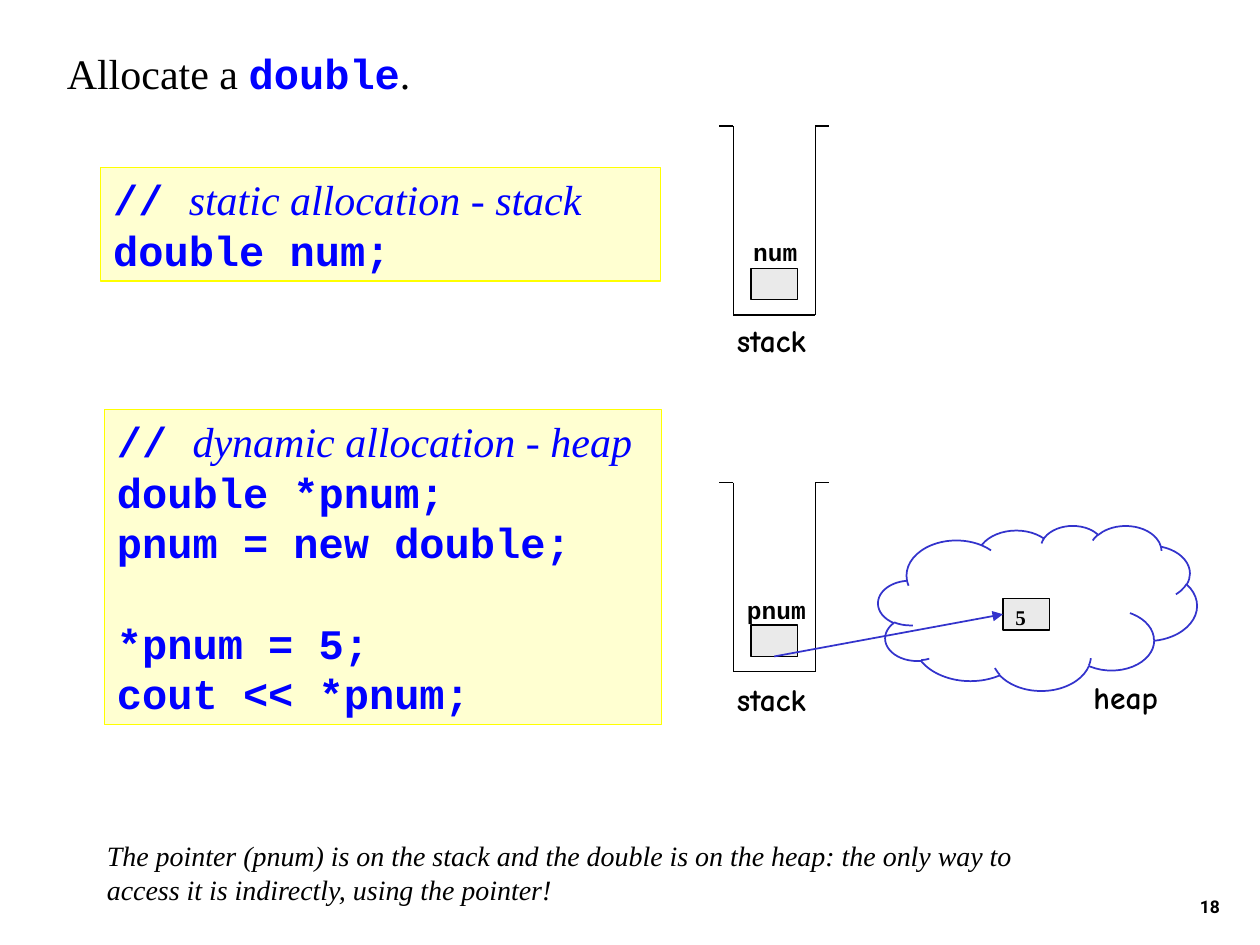
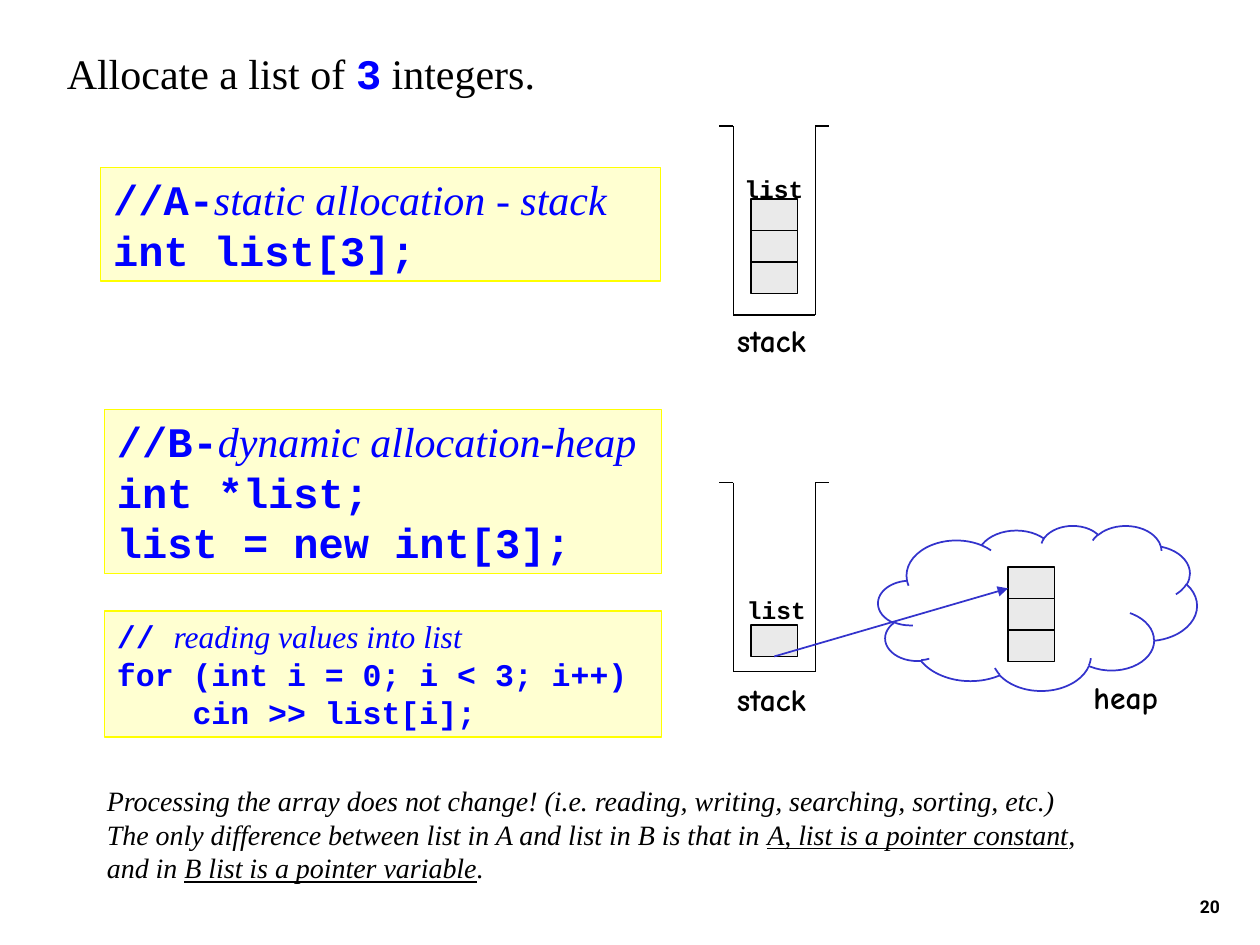
"""Build two slides that compare stack and heap allocation."""
from itertools import pairwise

from lxml.etree import SubElement
from pptx import Presentation
from pptx.dml.color import RGBColor
from pptx.enum.shapes import MSO_CONNECTOR, MSO_SHAPE
from pptx.enum.text import MSO_ANCHOR, MSO_AUTO_SIZE, PP_ALIGN
from pptx.oxml.ns import qn
from pptx.util import Inches, Pt

COLORS = {
    "ink": "000000",
    "code": "0000FF",
    "panel": "FFFFD1",
    "panel_edge": "FFFF00",
    "cell": "EAEAEA",
    "heap": "3333CC",
}
STYLES = {
    "plain": ("Times New Roman", "ink", False, False, False),
    "value": ("Times New Roman", "ink", True, False, False),
    "note": ("Times New Roman", "ink", False, True, False),
    "stress": ("Times New Roman", "ink", False, True, True),
    "code": ("Courier New", "code", True, False, False),
    "comment": ("Times New Roman", "code", False, True, False),
    "variable": ("Courier New", "ink", True, False, False),
    "region": ("Comic Neue", "ink", True, False, False),
    "number": ("Roboto", "ink", True, False, False),
}
CELL_W, CELL_H = 0.37, 0.25
STACK_X, STACK_CELL_X = 5.82, 5.96
POINTER_Y = 4.96

LESSONS = [
    {
        "number": "18",
        "title": [("Allocate a ", "plain"), ("double", "code"), (".", "plain")],
        "panels": [
            {"at": (0.8, 1.33, 4.44, 0.9), "size": 24, "lines": [
                [("// ", "code"), ("static allocation - stack", "comment")],
                [("double num;", "code")]]},
            {"at": (0.83, 3.25, 4.42, 2.5), "size": 24, "gaps": {3: 28.8}, "lines": [
                [("// ", "code"), ("dynamic allocation - heap", "comment")],
                [("double *pnum;", "code")],
                [("pnum = new double;", "code")],
                [("*pnum = 5;", "code")],
                [("cout << *pnum;", "code")]]},
        ],
        "variables": [("num", 5.88, 1.83), ("pnum", 5.83, 4.67)],
        "static_cells": (2.13, 1),
        "heap_cells": (7.96, 4.75, 1),
        "heap_value": "5",
        "target": (7.96, 4.87),
        "note_at": (0.75, 6.61, 8.17, 0.64),
        "note": [
            [("The pointer (pnum) is on the stack and the double is on the heap: the only way to", "note")],
            [("access it is indirectly, using the pointer!", "note")]],
    },
    {
        "number": "20",
        "title": [("Allocate a list of ", "plain"), ("3", "code"), (" integers.", "plain")],
        "panels": [
            {"at": (0.8, 1.33, 4.44, 0.9), "size": 24, "lines": [
                [("//A-", "code"), ("static allocation - stack", "comment")],
                [("int list[3];", "code")]]},
            {"at": (0.83, 3.25, 4.42, 1.3), "size": 24, "lines": [
                [("//B-", "code"), ("dynamic allocation-heap", "comment")],
                [("int *list;", "code")],
                [("list = new int[3];", "code")]]},
            {"at": (0.83, 4.85, 4.42, 1), "size": 18, "indents": {2: 0.6}, "lines": [
                [("// ", "code"), ("reading values into list", "comment")],
                [("for (int i = 0; i < 3; i++)", "code")],
                [("cin >> list[i];", "code")]]},
        ],
        "variables": [("list", 5.81, 1.33), ("list", 5.83, 4.67)],
        "static_cells": (1.58, 3),
        "heap_cells": (8, 4.5, 3),
        "heap_value": "",
        "target": (8, 4.67),
        "note_at": (0.75, 6.17, 8.17, 0.9),
        "note": [
            [("Processing the array does not change! (i.e. reading, writing, searching, sorting, etc.)", "note")],
            [("The only difference between list in A and list in B is that in ", "note"),
             ("A, list is a pointer constant", "stress"), (",", "note")],
            [("and in ", "note"), ("B list is a pointer variable", "stress"), (".", "note")]],
    },
]


def write(holder, lines, size, align=PP_ALIGN.LEFT, anchor=MSO_ANCHOR.TOP, gaps={}, indents={}):
    frame = holder.text_frame
    frame.word_wrap = True
    frame.auto_size = MSO_AUTO_SIZE.NONE
    frame.vertical_anchor = anchor
    frame.margin_left = frame.margin_right = Inches(0.1)
    frame.margin_top = frame.margin_bottom = Inches(0.05)
    for index, line in enumerate(lines):
        paragraph = frame.add_paragraph() if index else frame.paragraphs[0]
        paragraph.alignment = align
        paragraph.line_spacing = Pt(size * 1.2)
        paragraph.space_before = Pt(gaps.get(index, 0))
        if index in indents:
            paragraph._p.get_or_add_pPr().set("marL", str(Inches(indents[index])))
        for text, style in line:
            run = paragraph.add_run()
            run.text = text
            font = run.font
            font.size = Pt(size)
            font.name, color, font.bold, font.italic, font.underline = STYLES[style]
            font.color.rgb = RGBColor.from_string(COLORS[color])


def draw(slide, kind, at, line, width=0.75, fill=None):
    lengths = [Inches(length) for length in at]
    if kind is MSO_CONNECTOR.STRAIGHT:
        item = slide.shapes.add_connector(kind, *lengths)
        SubElement(item._element.spPr, qn("a:effectLst"))
    else:
        item = slide.shapes.add_shape(kind, *lengths)
        item.shadow.inherit = False
        if fill:
            item.fill.solid()
            item.fill.fore_color.rgb = RGBColor.from_string(COLORS[fill])
        else:
            item.fill.background()
    item.line.color.rgb = RGBColor.from_string(COLORS[line])
    item.line.width = Pt(width)
    return item


deck = Presentation()
deck.slide_width, deck.slide_height = Inches(10), Inches(7.5)

for lesson in LESSONS:
    slide = deck.slides.add_slide(deck.slide_layouts[5])
    title = slide.shapes.title
    title.left, title.top, title.width, title.height = map(Inches, (0.43, 0.33, 6, 0.5))
    write(title, [lesson["title"]], 24)

    for panel in lesson["panels"]:
        code = draw(slide, MSO_SHAPE.RECTANGLE, panel["at"], "panel_edge", fill="panel")
        write(code, panel["lines"], panel["size"],
              gaps=panel.get("gaps", {}), indents=panel.get("indents", {}))

    for top in (1, 3.83):
        right, bottom = STACK_X + 0.65, top + 1.5
        outline = [(STACK_X - 0.11, top), (STACK_X, top), (STACK_X, bottom),
                   (right, bottom), (right, top), (right + 0.11, top)]
        for start, end in pairwise(outline):
            draw(slide, MSO_CONNECTOR.STRAIGHT, start + end, "ink")

    static_top, static_count = lesson["static_cells"]
    heap_left, heap_top, heap_count = lesson["heap_cells"]
    spots = [(STACK_CELL_X, static_top + i * CELL_H) for i in range(static_count)]
    spots += [(heap_left, heap_top + i * CELL_H) for i in range(heap_count)]
    spots.append((STACK_CELL_X, POINTER_Y))
    cells = [draw(slide, MSO_SHAPE.RECTANGLE, spot + (CELL_W, CELL_H), "ink", fill="cell")
             for spot in spots]
    first_heap_cell, pointer_cell = cells[static_count], cells[-1]
    if lesson["heap_value"]:
        write(first_heap_cell, [[(lesson["heap_value"], "value")]], 12)

    pointer = draw(slide, MSO_CONNECTOR.STRAIGHT, (6.15, 5.21) + lesson["target"], "heap", 1)
    pointer.begin_connect(pointer_cell, 2)
    if heap_count == 1:
        pointer.end_connect(first_heap_cell, 1)
    SubElement(pointer.line._get_or_add_ln(), qn("a:tailEnd"), type="triangle")
    draw(slide, MSO_SHAPE.CLOUD, (6.97, 4.17, 2.53, 1.31), "heap", 1)

    captions = [((left, top, 0.7, 0.34), [[(name, "variable")]], 14)
                for name, left, top in lesson["variables"]]
    captions += [((left, top, 0.92, 0.4), [[(name, "region")]], 18)
                 for name, left, top in (("stack", 5.75, 2.5), ("stack", 5.75, 5.35), ("heap", 8.58, 5.33))]
    captions.append((lesson["note_at"], lesson["note"], 16))
    for at, lines, size in captions:
        write(slide.shapes.add_textbox(*map(Inches, at)), lines, size)

    page = slide.shapes.add_textbox(*map(Inches, (7.7, 6.83, 2.08, 0.5)))
    write(page, [[(lesson["number"], "number")]], 10, align=PP_ALIGN.RIGHT, anchor=MSO_ANCHOR.BOTTOM)

deck.save("out.pptx")
